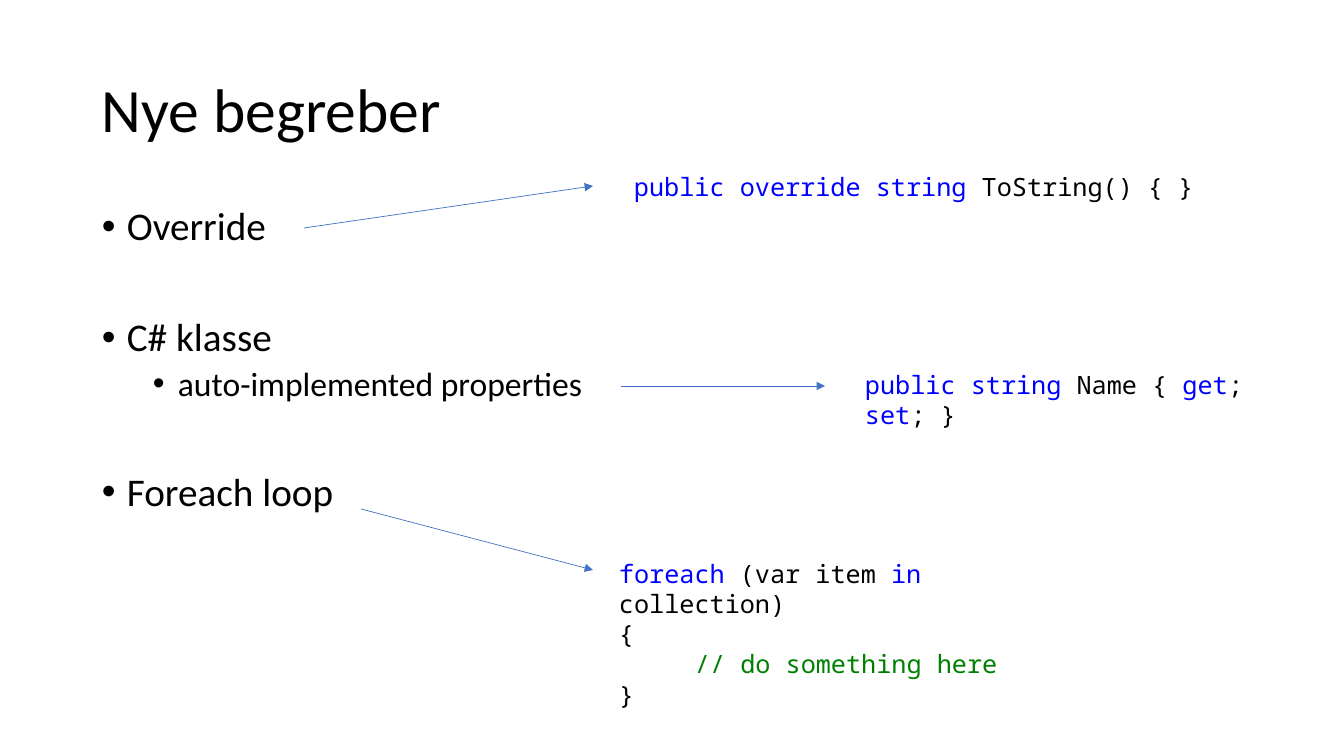
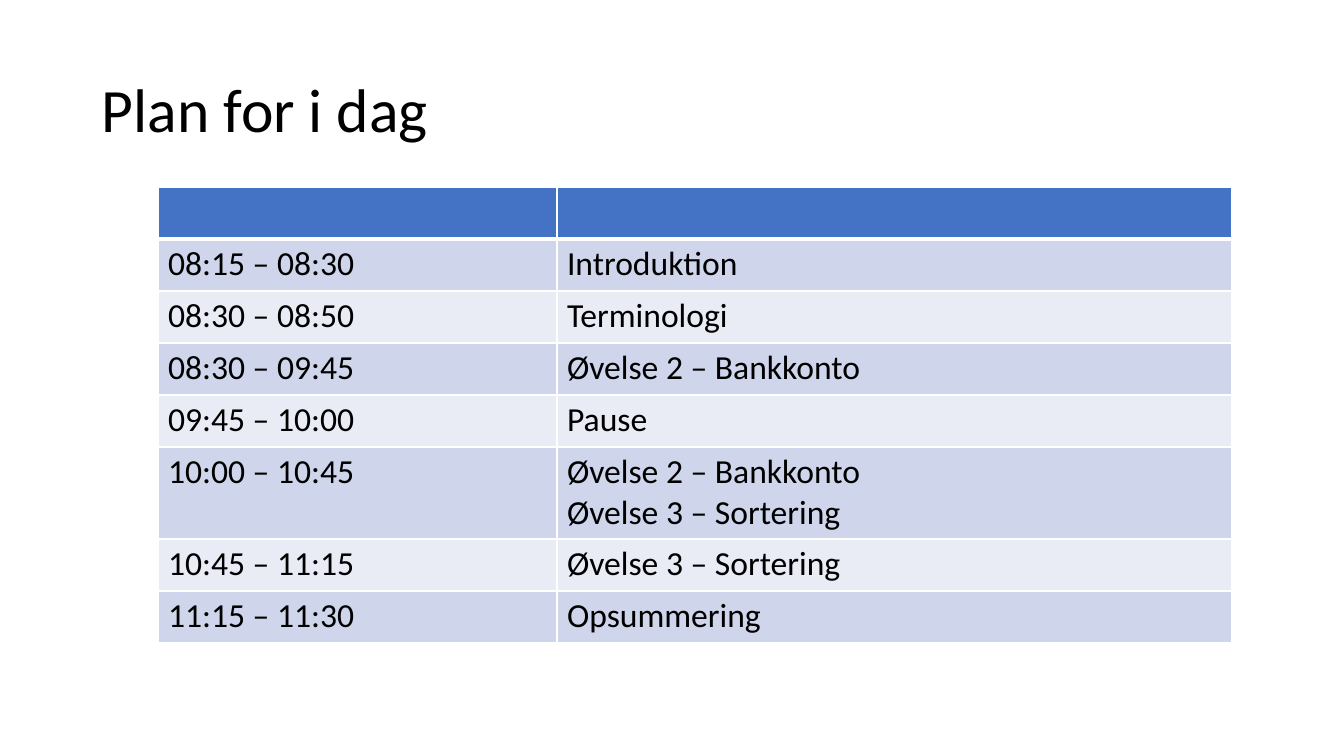
"""Build two lesson slides: new C# concepts and the plan for the day."""
from lxml.etree import SubElement
from pptx import Presentation
from pptx.dml.color import RGBColor
from pptx.enum.shapes import MSO_CONNECTOR
from pptx.enum.text import MSO_ANCHOR
from pptx.oxml.ns import qn
from pptx.util import Emu, Pt

BLACK = RGBColor(0x00, 0x00, 0x00)
WHITE = RGBColor(0xFF, 0xFF, 0xFF)
ACCENT = RGBColor(0x44, 0x72, 0xC4)
BAND_DARK = RGBColor(0xCF, 0xD5, 0xEA)
BAND_LIGHT = RGBColor(0xE9, 0xEB, 0xF5)
KEYWORD = RGBColor(0x00, 0x00, 0xFF)
COMMENT = RGBColor(0x00, 0x80, 0x00)
SANS, MONO = "Calibri", "Noto Sans Mono"

TITLE_BOX = (92, 40, 1159, 146)
BODY_BOX = (92, 202, 1159, 480)
BULLET_HANG = 25

# text, size, left margin, space before
BULLETS = [
    ("Override", 28, 25, 10),
    ("C# klasse", 28, 25, 49),
    ("auto-implemented properties", 24, 76, 5),
    ("Foreach loop", 28, 25, 49),
]

# box, lines of (indent, runs)
SNIPPETS = [
    ((855, 364, 490, 40), [
        (0, [("public string", KEYWORD), (" Name { ", BLACK), ("get", KEYWORD),
             ("; ", BLACK), ("set", KEYWORD), ("; }", BLACK)]),
    ]),
    ((609, 166, 672, 40), [
        (15, [("public override string", KEYWORD), (" ToString() { }", BLACK)]),
    ]),
    ((609, 553, 490, 132), [
        (0, [("foreach", KEYWORD), (" (var item ", BLACK), ("in", KEYWORD),
             (" collection)", BLACK)]),
        (0, [("{", BLACK)]),
        (76, [("// do something here", COMMENT)]),
        (0, [("}", BLACK)]),
    ]),
]

ARROWS = [(621, 386, 825, 386), (304, 228, 593, 186), (361, 509, 593, 570)]

PLAN = [
    ("", []),
    ("08:15 – 08:30", ["Introduktion"]),
    ("08:30 – 08:50", ["Terminologi"]),
    ("08:30 – 09:45", ["Øvelse 2 – Bankkonto"]),
    ("09:45 – 10:00", ["Pause"]),
    ("10:00 – 10:45", ["Øvelse 2 – Bankkonto", "Øvelse 3 – Sortering"]),
    ("10:45 – 11:15", ["Øvelse 3 – Sortering"]),
    ("11:15 – 11:30", ["Opsummering"]),
]
PLAN_LEFT, PLAN_TOP = 158, 187
PLAN_COLS = (399, 675)
ROW_H, EXTRA_LINE_H = 52, 40


def px(n):
    return Emu(round(n * 914400 / 100.8))


def add_run(p, text, size, color=BLACK, font=SANS):
    r = p.add_run()
    r.text = text
    r.font.size = Pt(size)
    r.font.name = font
    r.font.color.rgb = color


def paragraphs(tf, count):
    return [tf.paragraphs[0]] + [tf.add_paragraph() for _ in range(count - 1)]


def add_box(s, box):
    tf = s.shapes.add_textbox(*map(px, box)).text_frame
    tf.word_wrap = True
    return tf


def indent(p, left, hang=0):
    pPr = p._p.get_or_add_pPr()
    pPr.set("marL", str(px(left)))
    pPr.set("indent", str(-px(hang)))
    return pPr


def add_titled_slide(prs, title):
    s = prs.slides.add_slide(prs.slide_layouts[6])
    tf = add_box(s, TITLE_BOX)
    tf.vertical_anchor = MSO_ANCHOR.MIDDLE
    p = tf.paragraphs[0]
    p.line_spacing = 0.9
    add_run(p, title, 44)
    return s


def add_bullets(s):
    tf = add_box(s, BODY_BOX)
    for p, (text, size, left, before) in zip(paragraphs(tf, len(BULLETS)), BULLETS):
        p.line_spacing = 0.9
        p.space_before = Pt(before)
        pPr = indent(p, left, BULLET_HANG)
        SubElement(pPr, qn("a:buFont"), typeface="Arial")
        SubElement(pPr, qn("a:buChar"), char="•")
        add_run(p, text, size)


def add_snippet(s, box, lines):
    tf = add_box(s, box)
    for p, (left, runs) in zip(paragraphs(tf, len(lines)), lines):
        indent(p, left)
        for text, color in runs:
            add_run(p, text, 18, color, MONO)


def add_arrow(s, ends):
    line = s.shapes.add_connector(MSO_CONNECTOR.STRAIGHT, *map(px, ends))
    line.line.color.rgb = ACCENT
    line.line.width = Pt(0.5)
    SubElement(line.line._get_or_add_ln(), qn("a:tailEnd"), type="triangle")
    SubElement(line._element.spPr, qn("a:effectLst"))


def style_cell(cell, row):
    tcPr = cell._tc.get_or_add_tcPr()
    for side in "LRTB":
        thick = (row, side) in ((0, "B"), (1, "T"))
        ln = SubElement(tcPr, qn("a:ln" + side), w=str(Pt(3 if thick else 1)))
        fill = SubElement(ln, qn("a:solidFill"))
        SubElement(fill, qn("a:srgbClr"), val=str(WHITE))
    cell.fill.solid()
    cell.fill.fore_color.rgb = (
        ACCENT if row == 0 else BAND_DARK if row % 2 else BAND_LIGHT)


def add_plan(s):
    heights = [ROW_H + EXTRA_LINE_H * max(0, len(items) - 1) for _, items in PLAN]
    box = (PLAN_LEFT, PLAN_TOP, sum(PLAN_COLS), sum(heights))
    table = s.shapes.add_table(len(PLAN), len(PLAN_COLS), *map(px, box)).table
    table.first_row = table.horz_banding = False
    for col, width in zip(table.columns, PLAN_COLS):
        col.width = px(width)
    for i, (time, items) in enumerate(PLAN):
        table.rows[i].height = px(heights[i])
        for j, lines in enumerate(([time] if time else [], items)):
            cell = table.cell(i, j)
            style_cell(cell, i)
            for p, text in zip(paragraphs(cell.text_frame, len(lines)), lines):
                add_run(p, text, 24)


prs = Presentation()
prs.slide_width, prs.slide_height = px(1344), px(756)

s = add_titled_slide(prs, "Nye begreber")
add_bullets(s)
for box, lines in SNIPPETS:
    add_snippet(s, box, lines)
for ends in ARROWS:
    add_arrow(s, ends)

s = add_titled_slide(prs, "Plan for i dag")
add_plan(s)

prs.save("out.pptx")
